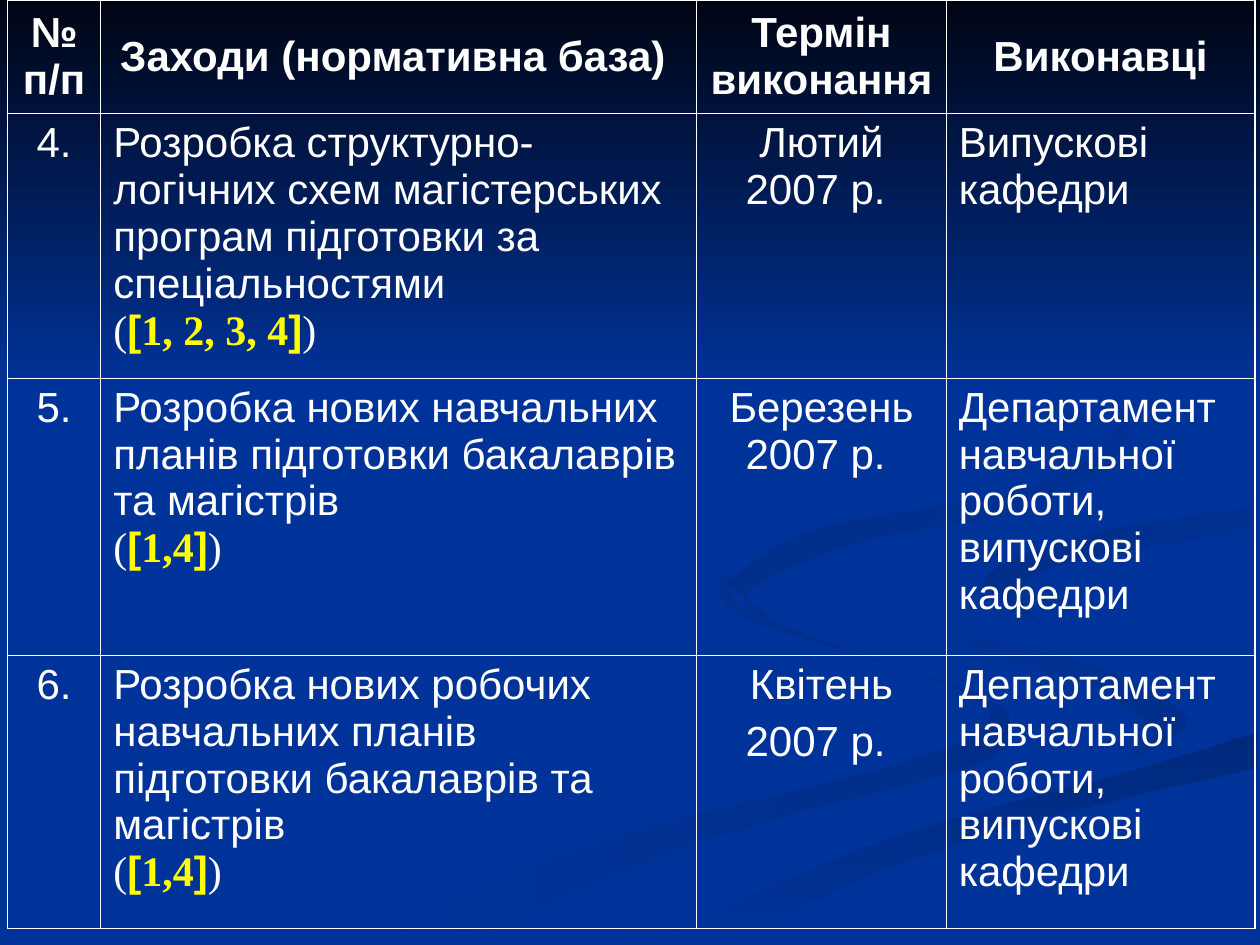
import itertools

import lxml.etree
import pptx
import pptx.dml.color
import pptx.enum.shapes
import pptx.enum.text
import pptx.oxml.ns
import pptx.util

Inches = pptx.util.Inches
RGBColor = pptx.dml.color.RGBColor
Align = pptx.enum.text.PP_ALIGN
Anchor = pptx.enum.text.MSO_ANCHOR

BLUE = RGBColor(0x00, 0x33, 0x99)
NIGHT = RGBColor(0x00, 0x05, 0x14)
WAVE_LIGHT = RGBColor(0x00, 0x2E, 0x8A)
WAVE_DARK = RGBColor(0x00, 0x29, 0x7C)
CURL_DARK = RGBColor(0x00, 0x2C, 0x85)
SWIRL_DARK = RGBColor(0x00, 0x2B, 0x81)
WHITE = RGBColor(0xFF, 0xFF, 0xFF)
YELLOW = RGBColor(0xFF, 0xFF, 0x00)

UNITS_PER_INCH = 100
CURVE_STEPS = 6
LOOP_EDGE = [(724, 464), (758, 498), (870, 530), (943, 570), (894, 605)]
SOUTH_EDGE = [(998, 581), (904, 610), (696, 669), (519, 747)]
CURL_EDGE = [(998, 402), (865, 424), (781, 460), (826, 496)]
RIBBONS = [
    {"colors": (WAVE_LIGHT, BLUE), "angle": 180, "edges": [
        [(575, 459), (594, 485), (682, 519), (786, 556), (800, 581), (769, 609),
         (564, 665), (361, 749)],
        [(300, 749), (458, 674), (727, 602), (786, 566), (728, 535), (602, 495),
         (570, 472)]]},
    {"colors": (WAVE_LIGHT, BLUE), "angle": 225, "edges": [
        LOOP_EDGE, [(918, 581), (868, 544), (766, 512), (724, 464)]]},
    {"colors": (WAVE_DARK, BLUE), "angle": 90, "edges": [
        SOUTH_EDGE, [(503, 749), (571, 749)], [(695, 692), (821, 651), (998, 609)]]},
    {"colors": (BLUE,), "edges": [
        [(998, 387), (851, 411), (755, 432), *LOOP_EDGE, (663, 668), (477, 749)],
        SOUTH_EDGE[::-1], [(998, 538), (904, 519)], CURL_EDGE[::-1]]},
    {"colors": (BLUE, CURL_DARK), "angle": 225, "edges": [
        CURL_EDGE, [(805, 472), (843, 448), (998, 420)]]},
    {"colors": (BLUE, SWIRL_DARK), "angle": 225, "edges": [
        [(762, 233), (843, 275), (894, 344), (825, 402), (683, 430), (593, 470), (622, 500)],
        [(577, 462), (649, 420), (818, 386), (889, 335), (846, 279), (762, 233)]]},
]
SKY_HEIGHT = 3.08

TABLE_LEFT, TABLE_TOP = 0.06, 0
COLUMN_WIDTHS = [0.74, 4.73, 1.98, 2.45]
ROW_HEIGHTS = [0.9, 2.1, 2.2, 2.17]
COLUMN_ALIGNMENTS = [Align.CENTER, Align.LEFT, Align.CENTER, Align.LEFT]
OUTER_LINE, INNER_LINE = 1.08, 0.45

HEADINGS = ["№ п/п", "Заходи (нормативна база) ", "Термін виконання", "Виконавці"]
ACTIVITIES = [
    {"number": "4.",
     "task": "Розробка структурно-логічних схем магістерських програм підготовки за спеціальностями ",
     "sources": "1, 2, 3, 4", "term": ["Лютий 2007 р. "], "performers": "Випускові кафедри"},
    {"number": "5.",
     "task": "Розробка нових навчальних планів підготовки бакалаврів та магістрів ",
     "sources": "1,4", "term": ["Березень 2007 р. "],
     "performers": "Департамент навчальної роботи, випускові кафедри"},
    {"number": "6.",
     "task": "Розробка нових робочих навчальних планів підготовки бакалаврів та магістрів ",
     "sources": "1,4", "term": ["Квітень", "2007 р. "],
     "performers": "Департамент навчальної роботи, випускові кафедри"},
]

PLAIN = {"name": "Arial", "size": pptx.util.Pt(24), "bold": False}
BOLD = {**PLAIN, "bold": True}
SERIF = {**PLAIN, "name": "Times New Roman"}
BOLD_SERIF = {**SERIF, "bold": True}


def add_span(para, text, font_format, color=WHITE):
    span = para.add_run()
    span.text = text
    for attribute, value in font_format.items():
        setattr(span.font, attribute, value)
    span.font.color.rgb = color


def smooth_edge(points):
    padded = [points[0], *points, points[-1]]
    curve = [points[0]]
    for before, start, end, after in zip(padded, padded[1:], padded[2:], padded[3:]):
        for step in range(1, CURVE_STEPS + 1):
            t = step / CURVE_STEPS
            curve.append(tuple(
                b + (c - a) * t / 2 + (2 * a - 5 * b + 4 * c - d) * t ** 2 / 2
                + (3 * b - a - 3 * c + d) * t ** 3 / 2
                for a, b, c, d in zip(before, start, end, after)))
    return curve


def paint(shape, colors, angle=0):
    shape.shadow.inherit = False
    shape.line.fill.background()
    if len(colors) == 1:
        shape.fill.solid()
        shape.fill.fore_color.rgb = colors[0]
        return
    shape.fill.gradient()
    shape.fill.gradient_angle = 360 - angle
    for stop, color in zip(shape.fill.gradient_stops, colors):
        stop.color.rgb = color


def add_backdrop(page):
    for ribbon in RIBBONS:
        outline = [point for edge in ribbon["edges"] for point in smooth_edge(edge)]
        builder = page.shapes.build_freeform(*outline[0], scale=Inches(1) / UNITS_PER_INCH)
        builder.add_line_segments(outline[1:], close=True)
        paint(builder.convert_to_shape(), ribbon["colors"], ribbon.get("angle", 0))
    sky = page.shapes.add_shape(pptx.enum.shapes.MSO_SHAPE.RECTANGLE,
                                0, 0, Inches(10), Inches(SKY_HEIGHT))
    paint(sky, (NIGHT, BLUE), 90)


def set_borders(cell, widths):
    qualify = pptx.oxml.ns.qn
    properties = cell._tc.get_or_add_tcPr()
    for index, (side, width) in enumerate(widths.items()):
        line = lxml.etree.Element(qualify(f"a:{side}"), w=str(pptx.util.Pt(width)))
        fill = lxml.etree.SubElement(line, qualify("a:solidFill"))
        lxml.etree.SubElement(fill, qualify("a:srgbClr"), val=str(WHITE))
        properties.insert(index, line)


def fill_cell(cell, paragraphs, font_format, alignment, sources=None):
    frame = cell.text_frame
    for index, text in enumerate(paragraphs):
        para = frame.add_paragraph() if index else frame.paragraphs[0]
        para.alignment = alignment
        para.space_before = pptx.util.Pt(6 if index else 0)
        add_span(para, text, font_format)
    if sources:
        para.add_line_break()
        add_span(para, "(", SERIF)
        add_span(para, "[", BOLD, YELLOW)
        add_span(para, sources, BOLD_SERIF, YELLOW)
        add_span(para, "]", BOLD, YELLOW)
        add_span(para, ")", SERIF)


def add_schedule(page):
    row_count, column_count = len(ROW_HEIGHTS), len(COLUMN_WIDTHS)
    table = page.shapes.add_table(
        row_count, column_count, Inches(TABLE_LEFT), Inches(TABLE_TOP),
        Inches(sum(COLUMN_WIDTHS)), Inches(sum(ROW_HEIGHTS))).table
    table.first_row = table.horz_banding = False
    for column, width in zip(table.columns, COLUMN_WIDTHS):
        column.width = Inches(width)
    for row, height in zip(table.rows, ROW_HEIGHTS):
        row.height = Inches(height)

    for row, column in itertools.product(range(row_count), range(column_count)):
        cell = table.cell(row, column)
        cell.fill.background()
        edges = {"lnL": column == 0, "lnR": column == column_count - 1,
                 "lnT": row == 0, "lnB": row == row_count - 1}
        set_borders(cell, {side: OUTER_LINE if outer else INNER_LINE
                           for side, outer in edges.items()})

    for column, heading in enumerate(HEADINGS):
        cell = table.cell(0, column)
        cell.vertical_anchor = Anchor.MIDDLE
        fill_cell(cell, [heading], BOLD, Align.CENTER)
    for row, activity in enumerate(ACTIVITIES, start=1):
        contents = [[activity["number"]], [activity["task"]],
                    activity["term"], [activity["performers"]]]
        for column, paragraphs in enumerate(contents):
            sources = activity["sources"] if column == 1 else None
            fill_cell(table.cell(row, column), paragraphs, PLAIN,
                      COLUMN_ALIGNMENTS[column], sources)


def main():
    deck = pptx.Presentation()
    deck.slide_width, deck.slide_height = Inches(10), Inches(7.5)
    page = deck.slides.add_slide(deck.slide_layouts[6])
    page.background.fill.solid()
    page.background.fill.fore_color.rgb = BLUE
    add_backdrop(page)
    add_schedule(page)
    deck.save("out.pptx")


if __name__ == "__main__":
    main()
